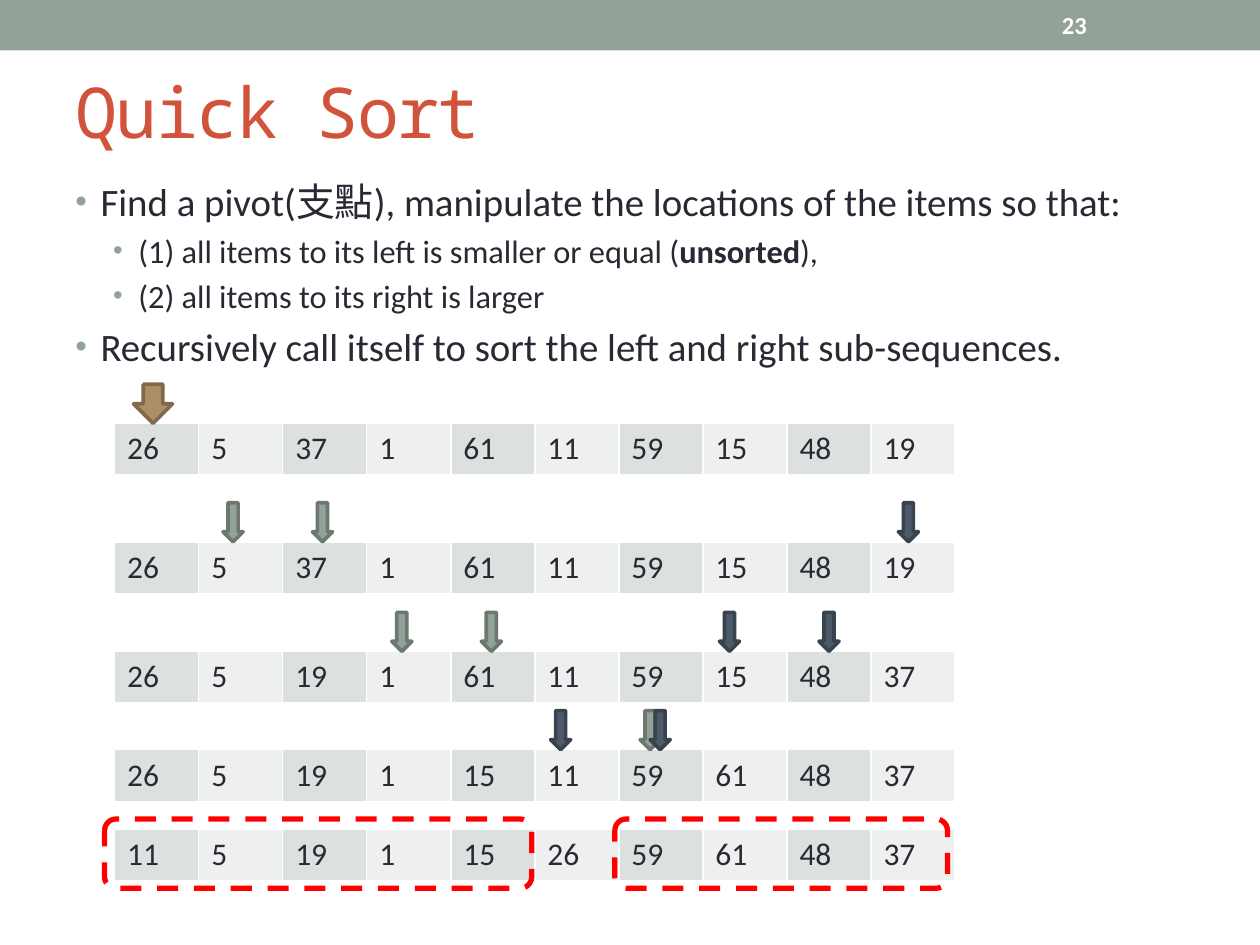
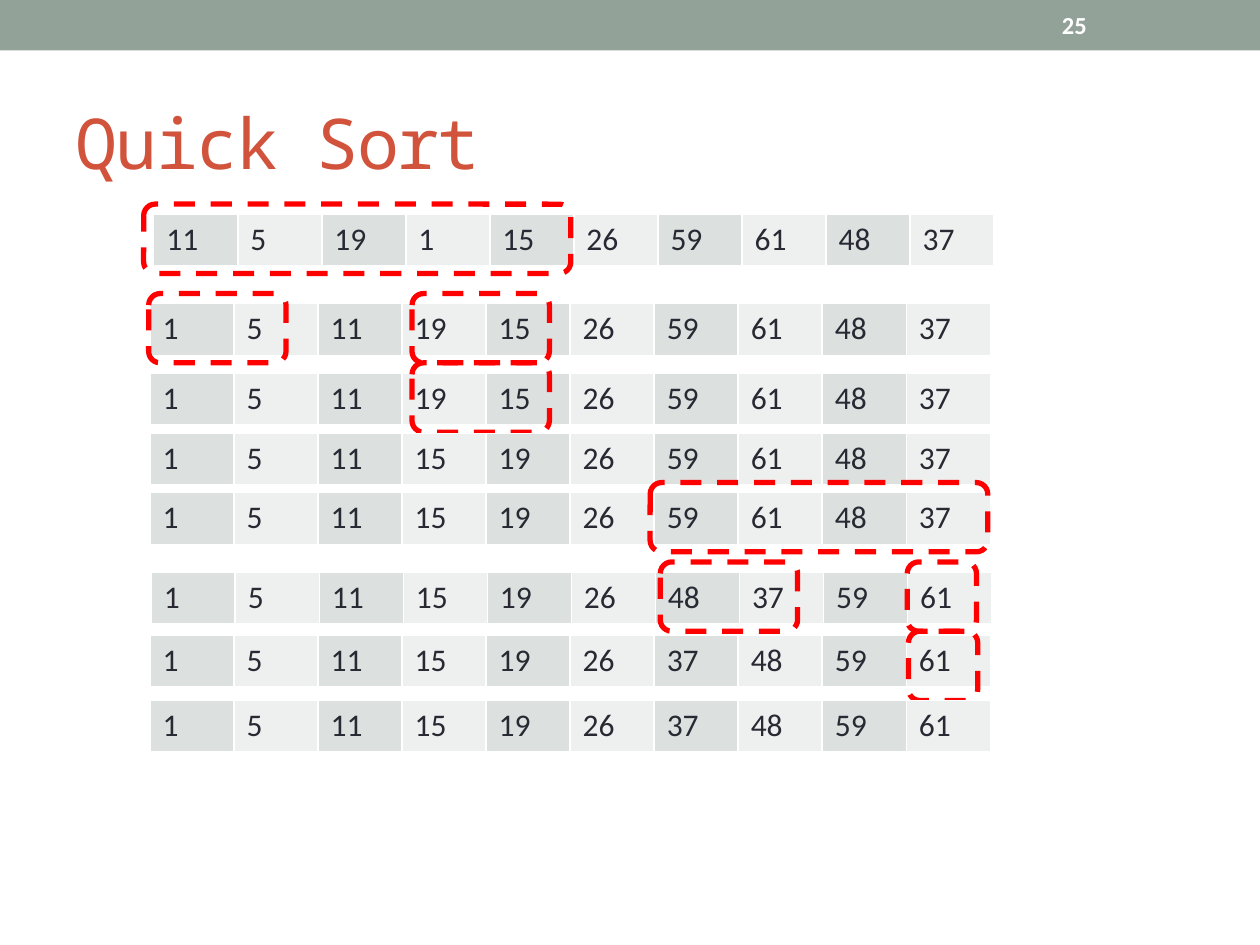
from lxml import etree
from pptx import Presentation
from pptx.dml.color import RGBColor
from pptx.enum.dml import MSO_LINE
from pptx.enum.shapes import MSO_SHAPE
from pptx.enum.text import MSO_ANCHOR, MSO_AUTO_SIZE, PP_ALIGN
from pptx.oxml.ns import qn
from pptx.util import Inches, Pt

RECT, ROUND_RECT, DOWN_ARROW = MSO_SHAPE.RECTANGLE, MSO_SHAPE.ROUNDED_RECTANGLE, MSO_SHAPE.DOWN_ARROW
MIDDLE, LEFT, DASH, NO_AUTOFIT = MSO_ANCHOR.MIDDLE, PP_ALIGN.LEFT, MSO_LINE.DASH, MSO_AUTO_SIZE.NONE
TITLE_ONLY = 5

BODY_FONT, TITLE_FONT = "Calibri", "Noto Sans Mono"
SAGE, RUST, INK, WHITE, RED = "93A299", "D2533C", "292934", "FFFFFF", "FF0000"
CELL_FILLS = ("DCE0DE", "EEF0EF")
PIVOT = ("AD8F67", "806A4C")
FROM_LEFT = (SAGE, "6D7871")
FROM_RIGHT = ("4C5A6A", "38434E")

ROW_WIDTH, ROW_HEIGHT = 6.67, 0.41
ARROW_HEIGHT = 0.31
FRAME_HEIGHT, FRAME_LIFT = 0.55, 0.08


def rgb(hex_color):
    return RGBColor.from_string(hex_color)


def box(*lengths):
    return [Inches(length) for length in lengths]


def add_xml(parent, tag, **attributes):
    return etree.SubElement(parent, qn(tag), attributes)


class Deck:
    def __init__(self):
        self.presentation = Presentation()
        self.presentation.slide_width = Inches(10)
        self.presentation.slide_height = Inches(7.5)
        self.slide = None

    def start_slide(self, number, title, top, height):
        """Add a slide with the top band, its number and the title."""
        layout = self.presentation.slide_layouts[TITLE_ONLY]
        self.slide = self.presentation.slides.add_slide(layout)
        self.shape(RECT, 0, 0, 10, 0.4, fill=SAGE)
        number_frame = self.text_frame(8.33, 0.02, 1.17, 0.36)
        number_frame.vertical_anchor = MIDDLE
        number_line = number_frame.paragraphs[0]
        number_line.text = str(number)
        self.style(number_line, 14, WHITE, bold=True)

        heading = self.slide.shapes.title
        heading.left, heading.top, heading.width, heading.height = box(0.5, top, 9, height)
        heading.text = title
        heading.text_frame.vertical_anchor = MIDDLE
        heading.text_frame.auto_size = NO_AUTOFIT
        heading_line = heading.text_frame.paragraphs[0]
        heading_line.alignment = LEFT
        self.style(heading_line, 40, RUST, TITLE_FONT)
        heading_line.runs[0].font._element.set("spc", "-100")

    def style(self, paragraph, size, color, font=BODY_FONT, bold=None):
        paragraph.font.size = Pt(size)
        paragraph.font.name = font
        paragraph.font.bold = bold
        paragraph.font.color.rgb = rgb(color)

    def shape(self, kind, left, top, width, height, fill=None, line=None, line_width=2.08):
        shape = self.slide.shapes.add_shape(kind, *box(left, top, width, height))
        shape.shadow.inherit = False
        if fill:
            shape.fill.solid()
            shape.fill.fore_color.rgb = rgb(fill)
        else:
            shape.fill.background()
        if line:
            shape.line.color.rgb = rgb(line)
            shape.line.width = Pt(line_width)
        else:
            shape.line.fill.background()
        return shape

    def text_frame(self, left, top, width, height):
        frame = self.slide.shapes.add_textbox(*box(left, top, width, height)).text_frame
        frame.word_wrap = True
        return frame

    def bullets(self, left, top, width, height, items):
        """Write (level, parts) items; every second part is bold."""
        frame = self.text_frame(left, top, width, height)
        for index, (level, parts) in enumerate(items):
            paragraph = frame.add_paragraph() if index else frame.paragraphs[0]
            size, indent = ((22.2, 0.2), (18.5, 0.5))[level]
            paragraph.level = level
            paragraph.space_before = Pt(size * 0.2)
            properties = paragraph._p.get_or_add_pPr()
            properties.set("marL", str(Inches(indent)))
            properties.set("indent", str(Inches(-0.2)))
            add_xml(add_xml(properties, "a:buClr"), "a:srgbClr", val=SAGE)
            add_xml(properties, "a:buSzPct", val="85000")
            add_xml(properties, "a:buFont", typeface="Arial")
            add_xml(properties, "a:buChar", char="•")
            self.style(paragraph, size, INK)
            for position, part in enumerate(parts):
                run = paragraph.add_run()
                run.text = part
                if position % 2:
                    run.font.bold = True

    def number_row(self, left, top, values):
        """Draw the array as a one-row table with alternating fills."""
        table = self.slide.shapes.add_table(
            1, len(values), *box(left, top, ROW_WIDTH, ROW_HEIGHT)).table
        table.first_row = table.horz_banding = False
        for column, value in enumerate(values):
            cell = table.cell(0, column)
            cell.text = str(value)
            self.style(cell.text_frame.paragraphs[0], 18, INK)
            properties = cell._tc.get_or_add_tcPr()
            for side in ("a:lnL", "a:lnR", "a:lnT", "a:lnB"):
                border = add_xml(properties, side, w=str(Pt(1)))
                add_xml(add_xml(border, "a:solidFill"), "a:srgbClr", val=WHITE)
            cell.fill.solid()
            cell.fill.fore_color.rgb = rgb(CELL_FILLS[column % 2])

    def arrow(self, left, row_top, colors, width=0.16):
        """Point down at a row."""
        self.shape(DOWN_ARROW, left, row_top - ARROW_HEIGHT, width, ARROW_HEIGHT, *colors)

    def frame(self, left, top, width):
        """Outline the part of a row that is still to be sorted."""
        outline = self.shape(ROUND_RECT, left, top, width, FRAME_HEIGHT, line=RED, line_width=3)
        outline.line.dash_style = DASH


def partition_slide(deck):
    deck.start_slide(23, "Quick Sort", 0.41, 0.94)
    deck.bullets(0.5, 1.36, 9, 1.73, [
        (0, ["Find a pivot(支點), manipulate the locations of the items so that:"]),
        (1, ["(1) all items to its left is smaller or equal (", "unsorted", "),"]),
        (1, ["(2) all items to its right is larger"]),
        (0, ["Recursively call itself to sort the left and right sub-sequences."]),
    ])
    steps = [
        (3.36, [26, 5, 37, 1, 61, 11, 59, 15, 48, 19], [], []),
        (4.3, [26, 5, 37, 1, 61, 11, 59, 15, 48, 19], [1.77, 2.48], [7.13]),
        (5.17, [26, 5, 19, 1, 61, 11, 59, 15, 48, 37], [3.11, 3.82], [6.5, 5.71]),
        (5.95, [26, 5, 19, 1, 15, 11, 59, 61, 48, 37], [5.08], [5.16, 4.37]),
        (6.58, [11, 5, 19, 1, 15, 26, 59, 61, 48, 37], [], []),
    ]
    for top, values, left_scan, right_scan in steps:
        deck.number_row(0.91, top, values)
        for colors, scan in ((FROM_LEFT, left_scan), (FROM_RIGHT, right_scan)):
            for left in scan:
                deck.arrow(left, top, colors)
    deck.arrow(1.06, steps[0][0], PIVOT, width=0.31)
    for left, width in ((0.83, 3.39), (4.88, 2.64)):
        deck.frame(left, steps[-1][0] - FRAME_LIFT, width)


def recursion_slide(deck):
    deck.start_slide(25, "Quick Sort", 0.58, 1.08)
    pair, single = 1.09, 0.55
    steps = [
        (1.22, 1.7, [11, 5, 19, 1, 15, 26, 59, 61, 48, 37], [(1.14, 3.39)], FRAME_LIFT),
        (1.19, 2.41, [1, 5, 11, 19, 15, 26, 59, 61, 48, 37], [(1.18, pair), (3.27, pair)], FRAME_LIFT),
        (1.19, 2.96, [1, 5, 11, 19, 15, 26, 59, 61, 48, 37], [(3.27, pair)], FRAME_LIFT),
        (1.19, 3.44, [1, 5, 11, 15, 19, 26, 59, 61, 48, 37], [], FRAME_LIFT),
        (1.19, 3.91, [1, 5, 11, 15, 19, 26, 59, 61, 48, 37], [(5.16, 2.68)], FRAME_LIFT),
        (1.2, 4.54, [1, 5, 11, 15, 19, 26, 48, 37, 59, 61], [(5.24, pair), (7.2, single)], FRAME_LIFT),
        (1.19, 5.04, [1, 5, 11, 15, 19, 26, 37, 48, 59, 61], [(7.21, single)], 0.03),
        (1.19, 5.56, [1, 5, 11, 15, 19, 26, 37, 48, 59, 61], [], FRAME_LIFT),
    ]
    for row_left, top, values, unsorted_parts, lift in steps:
        deck.number_row(row_left, top, values)
        for left, width in unsorted_parts:
            deck.frame(left, top - lift, width)


def main():
    deck = Deck()
    partition_slide(deck)
    recursion_slide(deck)
    deck.presentation.save("out.pptx")


if __name__ == "__main__":
    main()
